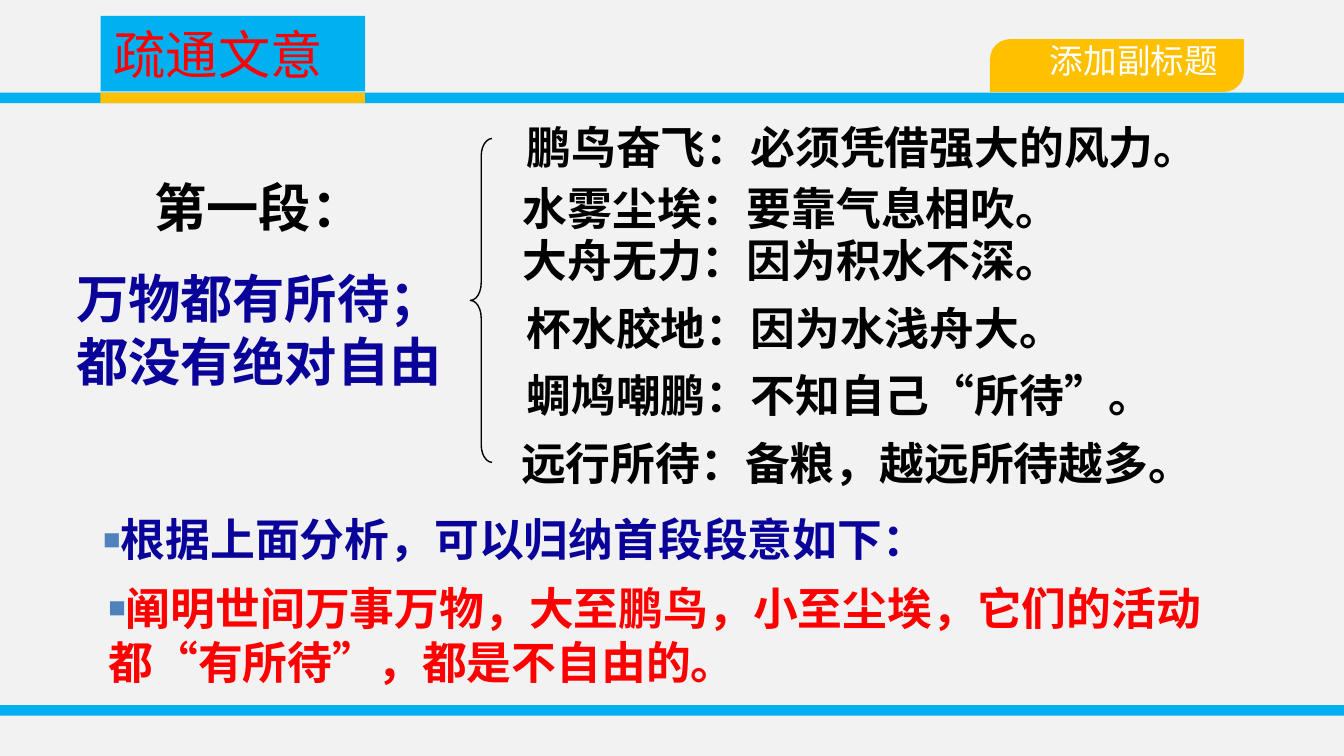
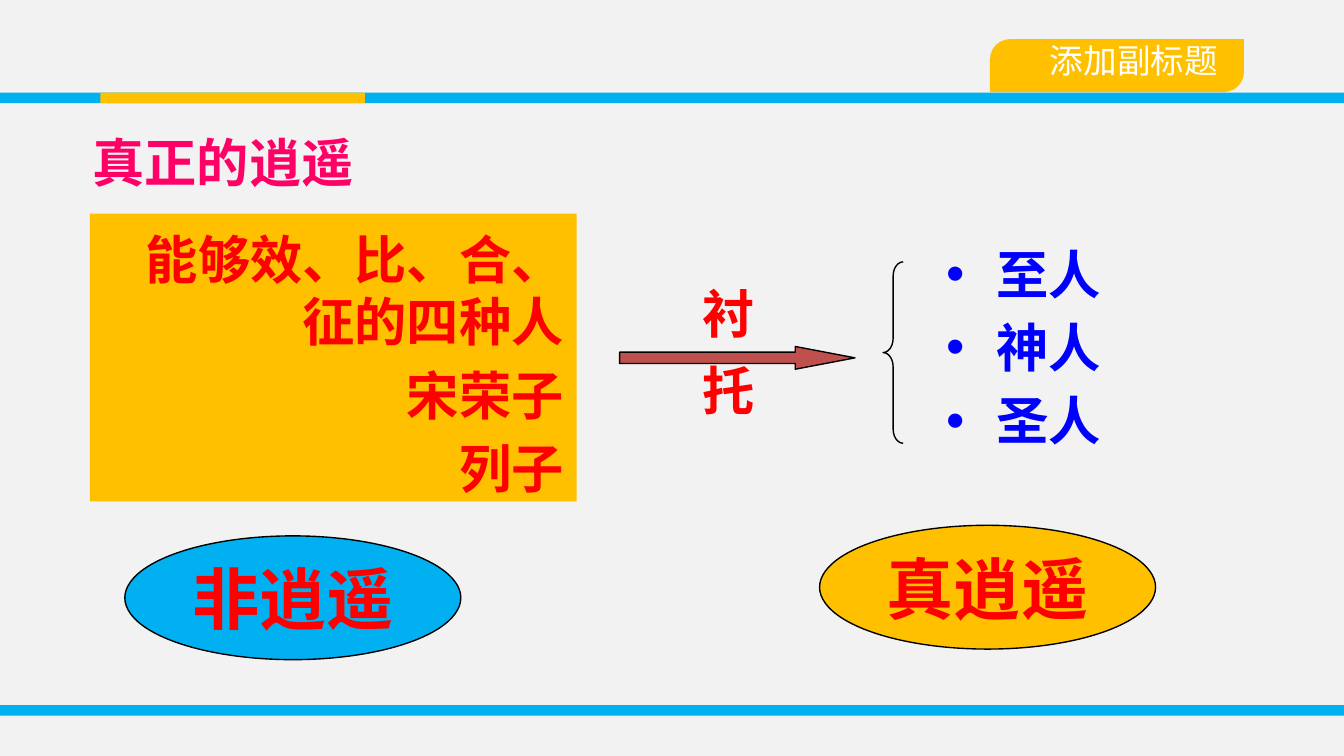
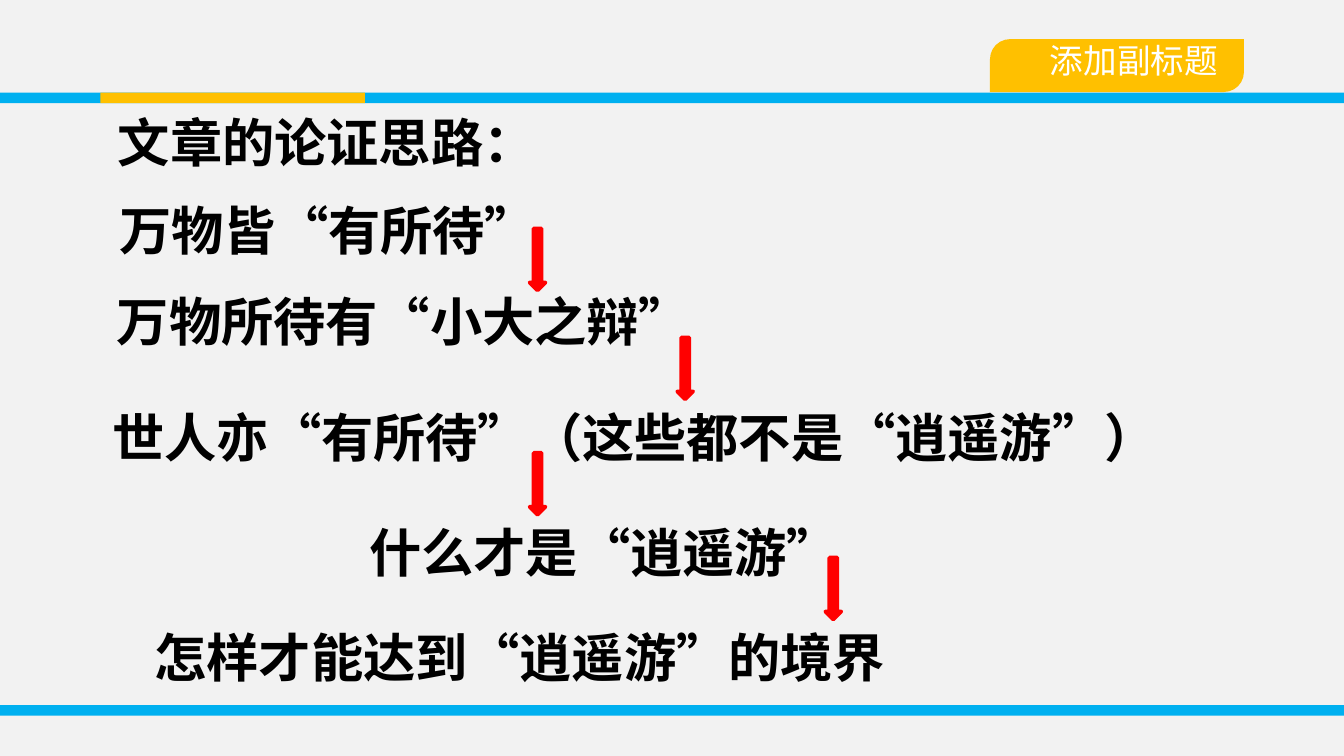
from dataclasses import dataclass

from lxml import etree
from pptx import Presentation
from pptx.dml.color import RGBColor
from pptx.enum.shapes import MSO_SHAPE
from pptx.enum.text import MSO_ANCHOR, MSO_AUTO_SIZE, PP_ALIGN
from pptx.oxml.ns import qn
from pptx.util import Cm, Pt

RECT = MSO_SHAPE.RECTANGLE
TAB = MSO_SHAPE.ROUND_2_DIAG_RECTANGLE
OVAL = MSO_SHAPE.OVAL
BRACE = MSO_SHAPE.LEFT_BRACE
RIGHT_ARROW = MSO_SHAPE.RIGHT_ARROW
DOWN_ARROW = MSO_SHAPE.DOWN_ARROW
TOP, MIDDLE = MSO_ANCHOR.TOP, MSO_ANCHOR.MIDDLE
LEFT, CENTER, RIGHT = PP_ALIGN.LEFT, PP_ALIGN.CENTER, PP_ALIGN.RIGHT


@dataclass(frozen=True)
class Theme:
    paper: str = "F2F2F2"
    sky: str = "00B0F0"
    gold: str = "FFC000"
    red: str = "FF0000"
    navy: str = "0A0399"
    blue: str = "0000FF"
    pink: str = "FF0066"
    brick: str = "C0504D"
    marker: str = "4F81BD"
    black: str = "000000"
    white: str = "FFFFFF"
    heading_font: str = "Arial"
    body_font: str = "Calibri"
    small: int = 18
    body: int = 24
    heading: int = 28
    label: int = 36


def rgb(value):
    return RGBColor.from_string(value)


class Deck:
    def __init__(self, theme):
        self.theme = theme
        self.prs = Presentation()
        self.prs.slide_width = Cm(25.4)
        self.prs.slide_height = Cm(14.29)
        self.slide = None

    def new_slide(self):
        t = self.theme
        self.slide = self.prs.slides.add_slide(self.prs.slide_layouts[5])
        fill = self.slide.background.fill
        fill.solid()
        fill.fore_color.rgb = rgb(t.paper)
        self.shape(RECT, (0, 13.33, 25.4, 0.2), t.sky)
        self.shape(RECT, (0, 1.75, 25.4, 0.2), t.sky)
        self.shape(RECT, (1.9, 1.75, 5, 0.2), t.gold)
        tab = self.shape(TAB, (18.71, 0.74, 4.8, 1), t.gold, adjust=(0.38, 0))
        self.fill_text(tab, ["添加副标题"], t.white, t.small, bold=False,
                       align=RIGHT, anchor=MIDDLE, insets=(0, 0, 0.38, 0.2))

    def title(self, text, box, color, font=None, bold=True, fill=None, anchor=TOP):
        sp = self.slide.shapes.title
        sp.left, sp.top, sp.width, sp.height = map(Cm, box)
        if fill:
            sp.fill.solid()
            sp.fill.fore_color.rgb = rgb(fill)
        self.fill_text(sp, [text], color, font=font, bold=bold, anchor=anchor)

    def shape(self, kind, box, fill=None, line=None, weight=0.75, adjust=()):
        sp = self.slide.shapes.add_shape(kind, *map(Cm, box))
        sp.shadow.inherit = False
        if fill:
            sp.fill.solid()
            sp.fill.fore_color.rgb = rgb(fill)
        else:
            sp.fill.background()
        if line:
            sp.line.color.rgb = rgb(line)
            sp.line.width = Pt(weight)
        else:
            sp.line.fill.background()
        for i, value in enumerate(adjust):
            sp.adjustments[i] = value
        return sp

    def text(self, lines, box, color, size=None, **style):
        sp = self.slide.shapes.add_textbox(*map(Cm, box))
        return self.fill_text(sp, lines, color, size, **style)

    def fill_text(self, sp, lines, color, size=None, font=None, bold=True, align=LEFT,
                  anchor=TOP, insets=(0.25, 0.13, 0.25, 0.13), gap=0, bullet=None):
        size = size or self.theme.heading
        tf = sp.text_frame
        tf.text = "\n".join(lines)
        tf.word_wrap = True
        tf.auto_size = MSO_AUTO_SIZE.NONE
        tf.vertical_anchor = anchor
        tf.margin_left, tf.margin_top, tf.margin_right, tf.margin_bottom = map(Cm, insets)
        for i, p in enumerate(tf.paragraphs):
            if bullet:
                self.bullet(p, *bullet)
            p.alignment = align
            p.space_before = Pt(gap * size if i else 0)
            for r in p.runs:
                r.font.name = font or self.theme.heading_font
                r.font.size = Pt(size)
                r.font.bold = bold
                r.font.color.rgb = rgb(color)
        return sp

    def bullet(self, p, char, color, percent, indent):
        pPr = p._p.get_or_add_pPr()
        pPr.set("marL", str(Cm(indent)))
        pPr.set("indent", str(-Cm(indent)))
        clr = etree.SubElement(pPr, qn("a:buClr"))
        etree.SubElement(clr, qn("a:srgbClr"), val=color)
        etree.SubElement(pPr, qn("a:buSzPct"), val=str(percent * 1000))
        etree.SubElement(pPr, qn("a:buFont"), typeface=self.theme.heading_font)
        etree.SubElement(pPr, qn("a:buChar"), char=char)

    def vertical_text(self, text, box, color, spacing):
        sp = self.text([text], box, color, anchor=MIDDLE)
        sp.text_frame._txBody.bodyPr.set("vert", "eaVert")
        for r in sp.text_frame.paragraphs[0].runs:
            r._r.get_or_add_rPr().set("spc", str(spacing * 100))

    def brace(self, box, curve):
        self.shape(BRACE, box, line=self.theme.black, adjust=(curve, 0.5))

    def oval_label(self, text, left, top, fill):
        sp = self.shape(OVAL, (left, top, 6.35, 2.34), fill, self.theme.black)
        self.fill_text(sp, [text], self.theme.red, self.theme.label, align=CENTER,
                       anchor=MIDDLE, insets=(0, 0, 0, 0))


def first_paragraph(deck):
    t = deck.theme
    deck.new_slide()
    deck.title("疏通文意", (1.9, 0.3, 5, 1.43), t.red, bold=False, fill=t.sky, anchor=MIDDLE)
    deck.text(["第一段："], (2.67, 3.18, 5.03, 1.17), t.black)
    deck.text(["万物都有所待；", "都没有绝对自由"], (1.19, 4.9, 7.9, 2.64), t.navy)
    deck.brace((8.89, 2.62, 0.41, 6.12), 0.814)
    examples = [
        ("鹏鸟奋飞：必须凭借强大的风力。", 9.7, 2.13),
        ("水雾尘埃：要靠气息相吹。", 9.63, 3.28),
        ("大舟无力：因为积水不深。", 9.63, 4.27),
        ("杯水胶地：因为水浅舟大。", 9.7, 5.56),
        ("蜩鸠嘲鹏：不知自己“所待”。", 9.7, 6.83),
        ("远行所待：备粮，越远所待越多。", 9.6, 8.1),
    ]
    for text, left, top in examples:
        deck.text([text], (left, top, 13.41, 1.27), t.black, t.body, font=t.body_font)
    summary = [
        ("根据上面分析，可以归纳首段段意如下：", (1.7, 9.55, 16.5, 1.27), t.navy),
        ("阐明世间万事万物，大至鹏鸟，小至尘埃，它们的活动都“有所待”，都是不自由的。",
         (1.8, 10.85, 21.6, 2.31), t.red),
    ]
    for text, box, color in summary:
        deck.text([text], box, color, t.body, font=t.body_font,
                  bullet=("■", t.marker, 65, 0))


def true_freedom(deck):
    t = deck.theme
    deck.new_slide()
    deck.title("真正的逍遥", (1.5, 2.34, 6, 1.4), t.pink)
    panel = deck.shape(RECT, (1.7, 4.04, 9.2, 5.44), t.gold)
    deck.fill_text(panel, ["能够效、比、合、征的四种人", "宋荣子", "列子"], t.red,
                   align=RIGHT, gap=0.2, insets=(0.25, 0.25, 0.25, 0))
    deck.shape(RIGHT_ARROW, (11.71, 6.55, 4.45, 0.43), t.brick, t.black, adjust=(0.5, 2.625))
    deck.vertical_text("衬托", (12.88, 5.31, 1.7, 3.23), t.red, 13)
    deck.brace((16.69, 4.95, 0.38, 3.43), 0.708)
    deck.text(["至人", "神人", "圣人"], (17.63, 4.45, 5.28, 4.65), t.blue,
              gap=0.2, bullet=("•", t.blue, 100, 0.95))
    deck.oval_label("非逍遥", 2.36, 10.13, t.sky)
    deck.oval_label("真逍遥", 15.49, 9.93, t.gold)


def line_of_argument(deck):
    t = deck.theme
    deck.new_slide()
    deck.title("文章的论证思路：", (1.98, 1.96, 8.53, 1.45), t.black, font=t.body_font)
    steps = [
        ("万物皆“有所待”", 2.01, 3.61, 8.71),
        ("万物所待有“小大之辩”", 1.96, 5.33, 12.6),
        ("世人亦“有所待”（这些都不是“逍遥游”）", 1.88, 7.54, 20.62),
        ("什么才是“逍遥游”", 6.73, 9.7, 9.75),
        ("怎样才能达到“逍遥游”的境界", 2.67, 11.68, 15.62),
    ]
    for text, left, top, width in steps:
        deck.text([text], (left, top, width, 1.45), t.black, font=t.body_font)
    for left, top in [(10.01, 4.32), (12.8, 6.38), (10.01, 8.56), (15.6, 10.54)]:
        deck.shape(DOWN_ARROW, (left, top, 0.3, 1.17), t.red, t.red, 2)


def main():
    deck = Deck(Theme())
    first_paragraph(deck)
    true_freedom(deck)
    line_of_argument(deck)
    deck.prs.save("out.pptx")


if __name__ == "__main__":
    main()
